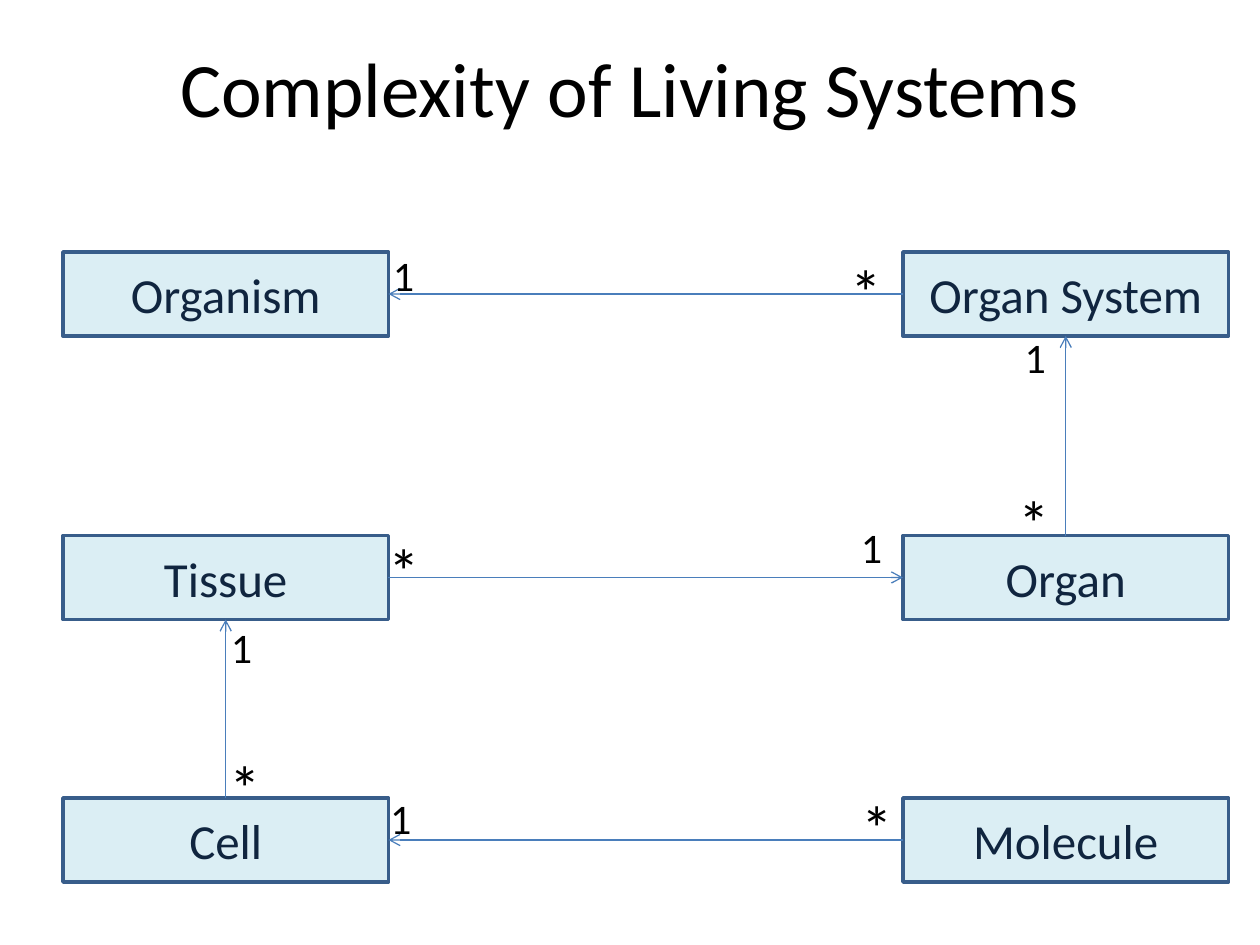
"""Build the slide on the levels of complexity in living systems."""
from dataclasses import dataclass

from lxml.etree import SubElement
from pptx import Presentation
from pptx.dml.color import RGBColor
from pptx.enum.shapes import MSO_CONNECTOR, MSO_SHAPE
from pptx.enum.text import MSO_ANCHOR, PP_ALIGN
from pptx.oxml.ns import qn
from pptx.shapes.autoshape import Shape
from pptx.slide import Slide
from pptx.util import Pt

COLORS = {
    "text": "000000",
    "level_text": "10253F",
    "level_fill": "DBEEF4",
    "level_border": "385D8A",
    "relation": "4A7EBB",
}
FONT = "Calibri"
LEFT, RIGHT = 36, 516
TOP, MIDDLE, BOTTOM = 144, 306, 456
LEVEL_WIDTH, LEVEL_HEIGHT = 186, 48
SITE_TOP, SITE_LEFT, SITE_BOTTOM, SITE_RIGHT = range(4)
MULTIPLICITY_SIZES = {"*": 36, "1": 24}


@dataclass(frozen=True)
class Level:
    name: str
    left: float
    top: float


@dataclass(frozen=True)
class Relation:
    member: str
    member_site: int
    whole: str
    whole_site: int


@dataclass(frozen=True)
class Multiplicity:
    symbol: str
    left: float
    top: float


LEVELS = [
    Level("Molecule", RIGHT, BOTTOM),
    Level("Cell", LEFT, BOTTOM),
    Level("Tissue", LEFT, MIDDLE),
    Level("Organ", RIGHT, MIDDLE),
    Level("Organ System", RIGHT, TOP),
    Level("Organism", LEFT, TOP),
]
RELATIONS = [
    Relation("Organ System", SITE_LEFT, "Organism", SITE_RIGHT),
    Relation("Organ", SITE_TOP, "Organ System", SITE_BOTTOM),
    Relation("Tissue", SITE_RIGHT, "Organ", SITE_LEFT),
    Relation("Cell", SITE_TOP, "Tissue", SITE_BOTTOM),
    Relation("Molecule", SITE_LEFT, "Cell", SITE_RIGHT),
]
MULTIPLICITIES = [
    Multiplicity("*", 486, 141),
    Multiplicity("*", 131, 424),
    Multiplicity("*", 492, 447),
    Multiplicity("*", 222, 300),
    Multiplicity("*", 582, 273),
    Multiplicity("1", 224.5, 139),
    Multiplicity("1", 585.5, 186),
    Multiplicity("1", 492, 294.5),
    Multiplicity("1", 132, 351.5),
    Multiplicity("1", 223, 449.5),
]


def write_text(shape: Shape, text: str, *, size: float, color: str = "text",
               align: PP_ALIGN = PP_ALIGN.CENTER,
               anchor: MSO_ANCHOR = MSO_ANCHOR.MIDDLE,
               side_margin: float = 7.2) -> None:
    frame = shape.text_frame
    frame.word_wrap = True
    frame.vertical_anchor = anchor
    frame.margin_left = frame.margin_right = Pt(side_margin)
    frame.margin_top = frame.margin_bottom = Pt(3.6)
    paragraph = frame.paragraphs[0]
    paragraph.alignment = align
    run = paragraph.add_run()
    run.text = text
    run.font.name = FONT
    run.font.size = Pt(size)
    run.font.color.rgb = RGBColor.from_string(COLORS[color])


def draw_level(slide: Slide, level: Level) -> Shape:
    box = slide.shapes.add_shape(MSO_SHAPE.RECTANGLE, Pt(level.left), Pt(level.top),
                                 Pt(LEVEL_WIDTH), Pt(LEVEL_HEIGHT))
    box.shadow.inherit = False
    box.fill.solid()
    box.fill.fore_color.rgb = RGBColor.from_string(COLORS["level_fill"])
    box.line.color.rgb = RGBColor.from_string(COLORS["level_border"])
    box.line.width = Pt(2)
    write_text(box, level.name, size=28, color="level_text")
    return box


def draw_relation(slide: Slide, relation: Relation, boxes: dict[str, Shape]) -> None:
    arrow = slide.shapes.add_connector(MSO_CONNECTOR.STRAIGHT, Pt(0), Pt(0), Pt(0), Pt(0))
    arrow.begin_connect(boxes[relation.member], relation.member_site)
    arrow.end_connect(boxes[relation.whole], relation.whole_site)
    arrow.line.color.rgb = RGBColor.from_string(COLORS["relation"])
    arrow.line.width = Pt(0.75)
    properties = arrow.element.spPr
    SubElement(properties.find(qn("a:ln")), qn("a:tailEnd"), type="arrow")
    SubElement(properties, qn("a:effectLst"))


def draw_multiplicity(slide: Slide, multiplicity: Multiplicity) -> None:
    size = MULTIPLICITY_SIZES[multiplicity.symbol]
    label = slide.shapes.add_textbox(Pt(multiplicity.left), Pt(multiplicity.top),
                                     Pt(size * 0.55), Pt(size * 1.2 + 7.2))
    write_text(label, multiplicity.symbol, size=size, align=PP_ALIGN.LEFT,
               anchor=MSO_ANCHOR.TOP, side_margin=0)


def main() -> None:
    presentation = Presentation()
    presentation.slide_width, presentation.slide_height = Pt(720), Pt(540)
    slide = presentation.slides.add_slide(presentation.slide_layouts[6])

    title = slide.shapes.add_textbox(Pt(36), Pt(4.5), Pt(648), Pt(90))
    write_text(title, "Complexity of Living Systems", size=44)

    boxes = {level.name: draw_level(slide, level) for level in LEVELS}
    for relation in RELATIONS:
        draw_relation(slide, relation, boxes)
    for multiplicity in MULTIPLICITIES:
        draw_multiplicity(slide, multiplicity)

    presentation.save("out.pptx")


if __name__ == "__main__":
    main()
